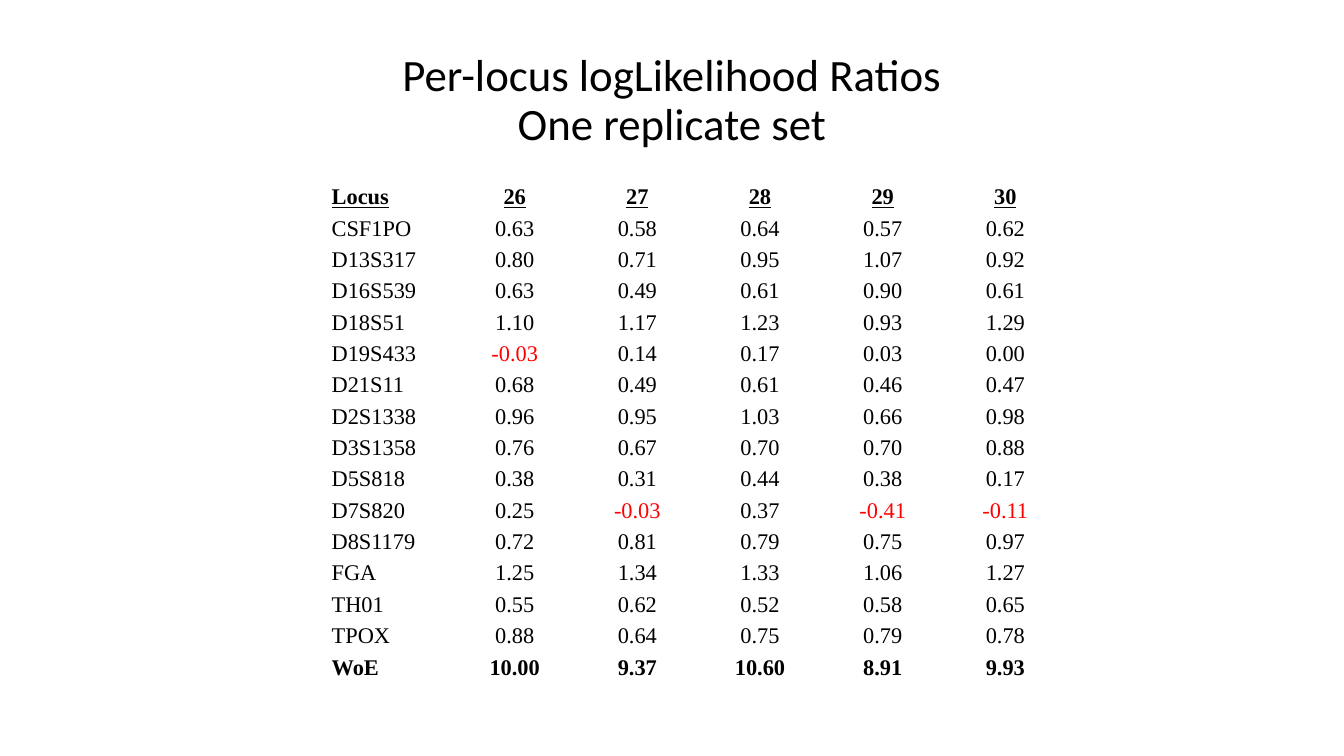
"""Build the slide of per-locus log likelihood ratios for one replicate set."""
import pptx
import pptx.dml.color
import pptx.enum.text
import pptx.util
from pptx.util import Inches

TITLE = "Per-locus logLikelihood Ratios\nOne replicate set"
HEADINGS = "Locus 26 27 28 29 30"
RATIOS = [
    "CSF1PO 0.63 0.58 0.64 0.57 0.62",
    "D13S317 0.80 0.71 0.95 1.07 0.92",
    "D16S539 0.63 0.49 0.61 0.90 0.61",
    "D18S51 1.10 1.17 1.23 0.93 1.29",
    "D19S433 -0.03 0.14 0.17 0.03 0.00",
    "D21S11 0.68 0.49 0.61 0.46 0.47",
    "D2S1338 0.96 0.95 1.03 0.66 0.98",
    "D3S1358 0.76 0.67 0.70 0.70 0.88",
    "D5S818 0.38 0.31 0.44 0.38 0.17",
    "D7S820 0.25 -0.03 0.37 -0.41 -0.11",
    "D8S1179 0.72 0.81 0.79 0.75 0.97",
    "FGA 1.25 1.34 1.33 1.06 1.27",
    "TH01 0.55 0.62 0.52 0.58 0.65",
    "TPOX 0.88 0.64 0.75 0.79 0.78",
]
TOTALS = "WoE 10.00 9.37 10.60 8.91 9.93"

THEME = {
    "title_font": "Calibri",
    "table_font": "Times New Roman",
    "title_size": 32,
    "table_size": 16,
    "ink": "000000",
    "negative": "FF0000",
}

TITLE_BOX = (3.21, 0.38, 6.91, 1.25)
TABLE_BOX = (3.28, 1.69, 7.3, 5.06)
HEADING_HEIGHT = 0.39


def write(frame, text, *, font, size, color=THEME["ink"], bold=False,
          underline=False, centered=True, line_spacing=None):
    """Fill a text frame with one formatted paragraph."""
    paragraph = frame.paragraphs[0]
    paragraph.text = text.replace("\n", "\v")
    align = pptx.enum.text.PP_ALIGN
    paragraph.alignment = align.CENTER if centered else align.LEFT
    if line_spacing:
        paragraph.line_spacing = line_spacing
    for run in paragraph.runs:
        run.font.name = font
        run.font.size = pptx.util.Pt(size)
        run.font.bold = bold
        run.font.underline = underline
        run.font.color.rgb = pptx.dml.color.RGBColor.from_string(color)


def add_title(slide):
    """Place the two-line title."""
    frame = slide.shapes.add_textbox(*map(Inches, TITLE_BOX)).text_frame
    frame.word_wrap = True
    frame.vertical_anchor = pptx.enum.text.MSO_ANCHOR.MIDDLE
    write(frame, TITLE, font=THEME["title_font"], size=THEME["title_size"],
          line_spacing=0.9)


def add_ratios(slide):
    """Place the table of ratios with negative values in red."""
    lines = [line.split() for line in [HEADINGS, *RATIOS, TOTALS]]
    last = len(lines) - 1
    columns = len(lines[0])
    ratios = slide.shapes.add_table(
        len(lines), columns, *map(Inches, TABLE_BOX)).table
    ratios.first_row = ratios.horz_banding = False
    for column in ratios.columns:
        column.width = Inches(TABLE_BOX[2] / columns)
    for r, line in enumerate(lines):
        ratios.rows[r].height = Inches(
            (TABLE_BOX[3] - HEADING_HEIGHT) / last if r else HEADING_HEIGHT)
        for c, value in enumerate(line):
            cell = ratios.cell(r, c)
            cell.fill.background()
            cell.vertical_anchor = pptx.enum.text.MSO_ANCHOR.BOTTOM
            cell.margin_left = cell.margin_right = cell.margin_top = Inches(0.01)
            cell.margin_bottom = 0
            write(cell.text_frame, value, font=THEME["table_font"],
                  size=THEME["table_size"], bold=r in (0, last),
                  underline=r == 0, centered=c > 0,
                  color=THEME["negative" if value.startswith("-") else "ink"])


def main():
    """Build and save the deck."""
    deck = pptx.Presentation()
    deck.slide_width, deck.slide_height = Inches(13.33), Inches(7.5)
    slide = deck.slides.add_slide(deck.slide_layouts[6])
    add_title(slide)
    add_ratios(slide)
    deck.save("out.pptx")


if __name__ == "__main__":
    main()
